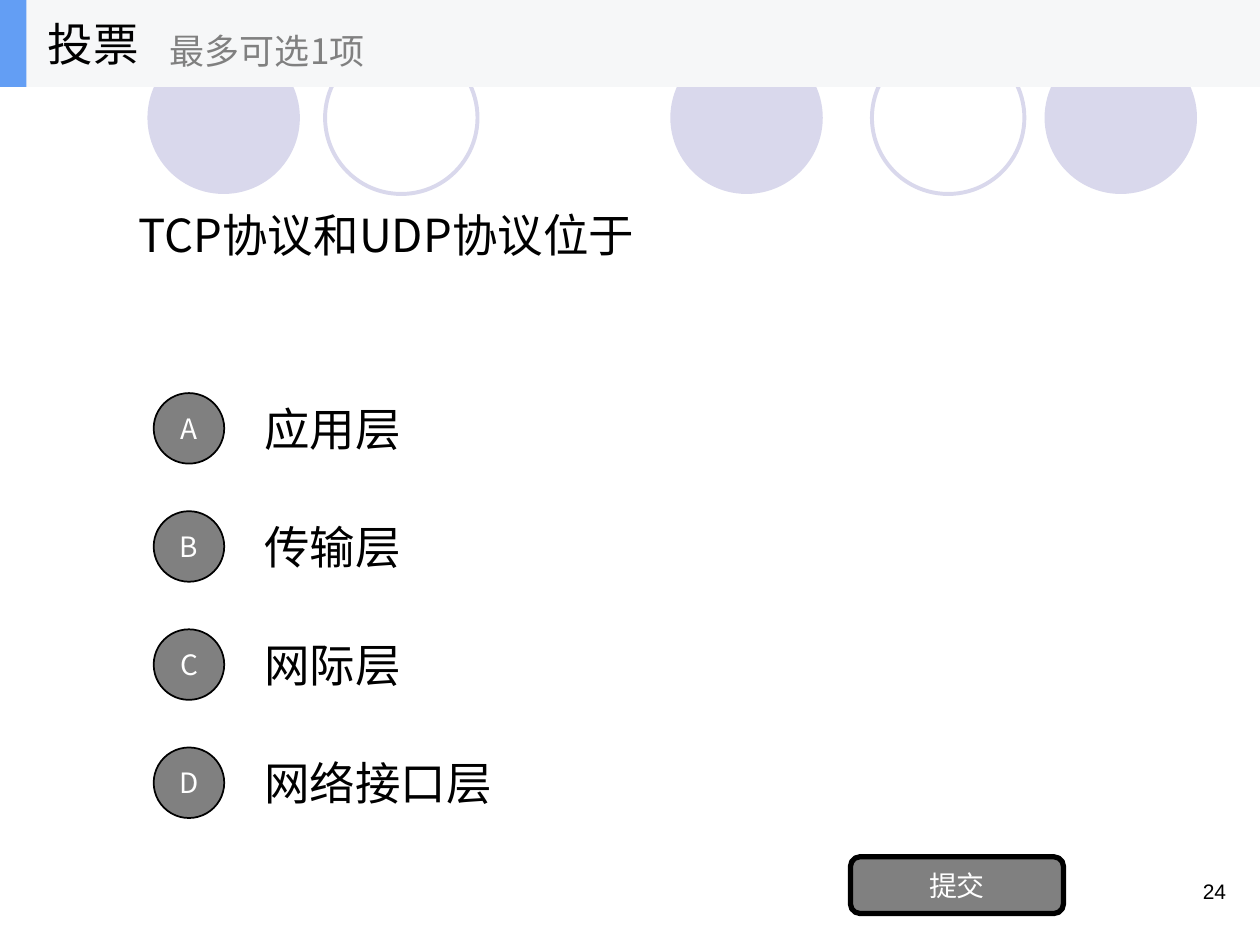
from dataclasses import dataclass

import pptx
import pptx.dml.color
import pptx.enum.shapes
import pptx.enum.text
import pptx.oxml.ns
import pptx.util
from lxml import etree

Inches = pptx.util.Inches
Kind = pptx.enum.shapes.MSO_SHAPE
Align = pptx.enum.text.PP_ALIGN
Anchor = pptx.enum.text.MSO_ANCHOR

HUES = {"ring": "D9D8EC", "gray": "808080", "black": "000000",
        "white": "FFFFFF", "band": "F6F7F8", "blue": "639EF4"}
FONT = "Noto Sans CJK SC"


@dataclass
class Box:
    left: float
    top: float
    width: float
    height: float

    def place(self) -> tuple:
        return tuple(Inches(n) for n in
                     (self.left, self.top, self.width, self.height))


@dataclass
class Ring:
    left: float
    solid: bool


@dataclass
class Choice:
    key: str
    text: str


def hue(name: str) -> pptx.dml.color.RGBColor:
    return pptx.dml.color.RGBColor.from_string(HUES[name])


def write(shape, text: str, *, size: float = 26, color: str = "black",
          font: str = FONT, align=Align.LEFT, anchor=Anchor.MIDDLE,
          wrap: bool = True) -> None:
    frame = shape.text_frame
    frame.word_wrap = wrap
    frame.vertical_anchor = anchor
    para = frame.paragraphs[0]
    para.alignment = align
    run = para.add_run()
    run.text = text
    run.font.size = pptx.util.Pt(size)
    run.font.color.rgb = hue(color)
    run.font.name = font
    # East Asian glyphs need their own typeface entry
    asian = etree.SubElement(run.font._element, pptx.oxml.ns.qn("a:ea"))
    asian.set("typeface", font)


def label(slide, box: Box, text: str, **style) -> None:
    write(slide.shapes.add_textbox(*box.place()), text, **style)


def draw(slide, kind, box: Box, fill: str = "", line: str = "",
         weight: float = 1):
    shape = slide.shapes.add_shape(kind, *box.place())
    shape.shadow.inherit = False
    if fill:
        shape.fill.solid()
        shape.fill.fore_color.rgb = hue(fill)
    else:
        shape.fill.background()
    if line:
        shape.line.color.rgb = hue(line)
        shape.line.width = pptx.util.Pt(weight)
    else:
        shape.line.fill.background()
    return shape


def button(slide, kind, box: Box, text: str, weight: float) -> None:
    shape = draw(slide, kind, box, "gray", "black", weight)
    write(shape, text, size=16, color="white", align=Align.CENTER, wrap=False)


def main() -> None:
    deck = pptx.Presentation()
    deck.slide_width, deck.slide_height = Inches(10), Inches(7.5)
    slide = deck.slides.add_slide(deck.slide_layouts[6])

    # Background circles
    rings = [Ring(5.32, True), Ring(8.29, True), Ring(1.17, True),
             Ring(6.92, False), Ring(2.58, False)]
    for ring in rings:
        box = Box(ring.left, 0.33, 1.21, 1.21)
        if ring.solid:
            draw(slide, Kind.OVAL, box, fill="ring")
        else:
            draw(slide, Kind.OVAL, box, line="ring", weight=2.25)

    # Page number and question
    label(slide, Box(7.5, 6.92, 2.33, 0.5), "24", size=12, font="Arial",
          align=Align.RIGHT, anchor=Anchor.TOP)
    label(slide, Box(1, 0.69, 8, 2.34), "TCP协议和UDP协议位于")

    # Choices at an even pitch
    choices = [Choice("A", "应用层"), Choice("B", "传输层"),
               Choice("C", "网际层"), Choice("D", "网络接口层")]
    for row, choice in enumerate(choices):
        top = 3.05 + row * 0.9375
        label(slide, Box(2, top, 7, 0.7), choice.text)
        button(slide, Kind.OVAL, Box(1.22, top + 0.07, 0.56, 0.56),
               choice.key, 1)

    # Submit button
    button(slide, Kind.ROUNDED_RECTANGLE, Box(6.75, 6.8, 1.69, 0.45),
           "提交", 3)

    # Header band
    draw(slide, Kind.RECTANGLE, Box(0, 0, 10, 0.69), fill="band")
    draw(slide, Kind.RECTANGLE, Box(0, 0, 0.21, 0.69), fill="blue")
    label(slide, Box(0.28, 0, 2.08, 0.69), "投票")
    label(slide, Box(1.25, 0.12, 2.5, 0.56), "最多可选1项",
          size=20, color="gray")

    deck.save("out.pptx")


if __name__ == "__main__":
    main()
